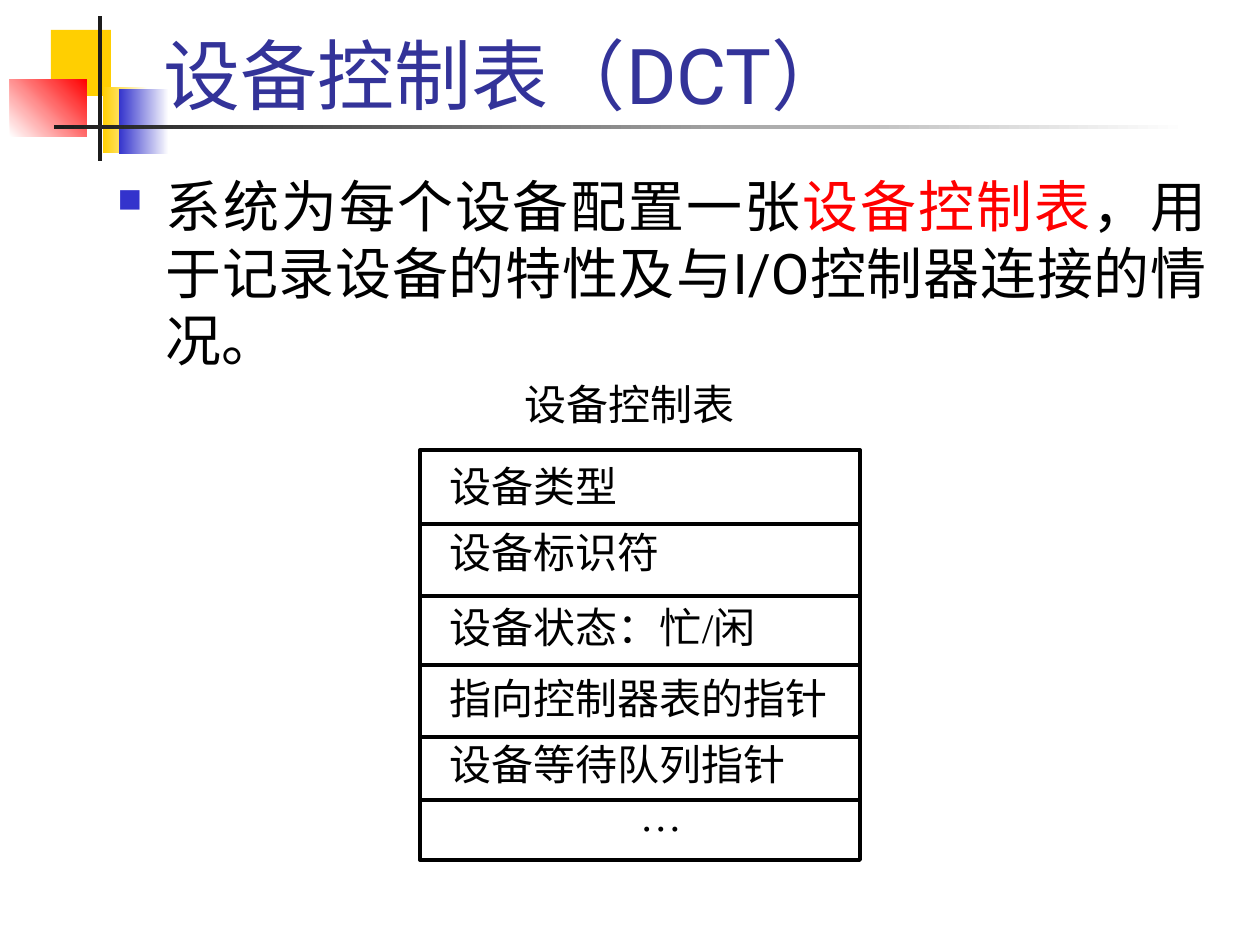
from lxml import etree
from pptx import Presentation, util as u
from pptx.dml.color import RGBColor
from pptx.enum import shapes, text
from pptx.oxml.ns import qn

PX = 914400 / 126
BLACK = RGBColor(0, 0, 0)
WHITE = RGBColor(255, 255, 255)
RED = RGBColor(255, 0, 0)
GOLD = RGBColor(0xFF, 0xCF, 0x01)
BLUE = RGBColor(0x33, 0x33, 0xCC)
NAVY = RGBColor(0x33, 0x33, 0x99)
DARK = RGBColor(0x1C, 0x1C, 0x1C)
SANS, SERIF = "Roboto", "Times New Roman"


def px(*nums):
    return [u.Emu(round(n * PX)) for n in nums]


def style(run, size, face, color):
    run.font.size = u.Pt(size)
    run.font.name = face
    run.font.color.rgb = color


deck = Presentation()
deck.slide_width, deck.slide_height = px(1260, 945)
slide = deck.slides.add_slide(deck.slide_layouts[5])
tree = slide.shapes

# Corner ornament: box, start colour, end colour, gradient angle
decor = [
    ((51, 30, 60, 66), GOLD, None, 0),
    ((103, 87, 45, 66), GOLD, WHITE, 0),
    ((119, 89, 50, 65), BLUE, WHITE, 0),
    ((10, 79, 77, 58), WHITE, RED, 45),
    ((98, 16, 4, 145), DARK, None, 0),
    ((54, 125, 1134, 4), DARK, WHITE, 0),
]
for box, start, end, angle in decor:
    block = tree.add_shape(shapes.MSO_SHAPE.RECTANGLE, *px(*box))
    block.shadow.inherit = False
    block.line.fill.background()
    if end is None:
        block.fill.solid()
        block.fill.fore_color.rgb = start
    else:
        block.fill.gradient()
        block.fill.gradient_angle = angle
        for stop, color in zip(block.fill.gradient_stops, (start, end)):
            stop.color.rgb = color

# Title, moved in front of the ornament
title = tree.title
title.left, title.top, title.width, title.height = px(151, 21, 1074, 105)
frame = title.text_frame
frame.text = "设备控制表（DCT）"
frame.auto_size = text.MSO_AUTO_SIZE.NONE
frame.vertical_anchor = text.MSO_ANCHOR.BOTTOM
frame.paragraphs[0].alignment = text.PP_ALIGN.LEFT
style(frame.paragraphs[0].runs[0], 44, SANS, NAVY)
title.element.getparent().append(title.element)

# Bulleted statement
body = tree.add_textbox(*px(105, 165, 1114, 228))
body.text_frame.word_wrap = True
para = body.text_frame.paragraphs[0]
para.alignment = text.PP_ALIGN.JUSTIFY
props = para._p.get_or_add_pPr()
hang = px(48)[0]
props.set("marL", str(hang))
props.set("indent", str(-hang))
tint = etree.SubElement(props, qn("a:buClr"))
etree.SubElement(tint, qn("a:srgbClr"), val=str(BLUE))
etree.SubElement(props, qn("a:buSzPct"), val="60000")
etree.SubElement(props, qn("a:buChar"), char="■")
parts = [
    ("系统为每个设备配置一张", SANS, BLACK),
    ("设备控制表", SANS, RED),
    ("，用于记录设备的特性及", SANS, BLACK),
    ("与", SERIF, BLACK),
    ("I/O", SANS, BLACK),
    ("控制", SERIF, BLACK),
    ("器连接的情况。", SANS, BLACK),
]
for words, face, color in parts:
    run = para.add_run()
    run.text = words
    style(run, 32, face, color)

# Caption above the control table
label = tree.add_textbox(*px(525, 379, 234, 62))
frame = label.text_frame
frame.word_wrap = True
frame.margin_left = frame.margin_top = frame.margin_right = frame.margin_bottom = 0
frame.text = "设备控制表"
style(frame.paragraphs[0].runs[0], 24, SERIF, BLACK)

# Control table: one frame holding all the entries
left, top, width, height = 420, 450, 440, 410
table = tree.add_shape(shapes.MSO_SHAPE.RECTANGLE, *px(left, top, width, height))
table.shadow.inherit = False
table.fill.solid()
table.fill.fore_color.rgb = WHITE
table.line.color.rgb = BLACK
table.line.width = u.Pt(2.25)
frame = table.text_frame
frame.word_wrap = True
frame.vertical_anchor = text.MSO_ANCHOR.TOP
frame.margin_left, frame.margin_top = px(30, 10)
frame.margin_right = frame.margin_bottom = 0
# Entry, space before in points
rows = [
    ("设备类型", 0),
    ("设备标识符", 9),
    ("设备状态：忙/闲", 14),
    ("指向控制器表的指针", 12),
    ("设备等待队列指针", 9),
    ("…", 0),
]
frame.text = "\n".join(entry for entry, gap in rows)
for para, (entry, gap) in zip(frame.paragraphs, rows):
    para.alignment = text.PP_ALIGN.JUSTIFY
    if gap:
        para.space_before = u.Pt(gap)
    style(para.runs[0], 24, SERIF, BLACK)
para._p.get_or_add_pPr().set("marL", str(px(190)[0]))

# Rules between the entries
for y in (524, 596, 665, 737, 800):
    rule = tree.add_connector(
        shapes.MSO_CONNECTOR.STRAIGHT, *px(left, y, left + width, y))
    rule.line.color.rgb = BLACK
    rule.line.width = u.Pt(2.25)
    etree.SubElement(rule._element.spPr, qn("a:effectLst"))

deck.save("out.pptx")
